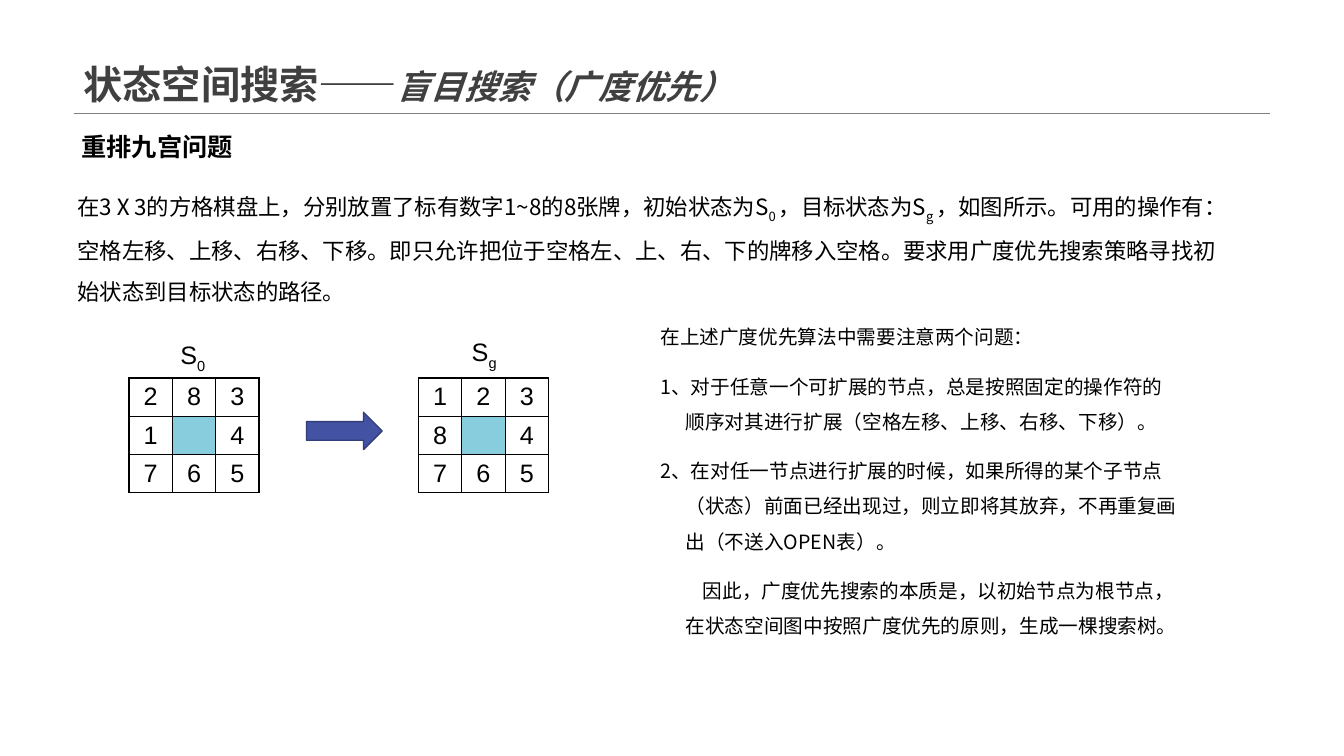
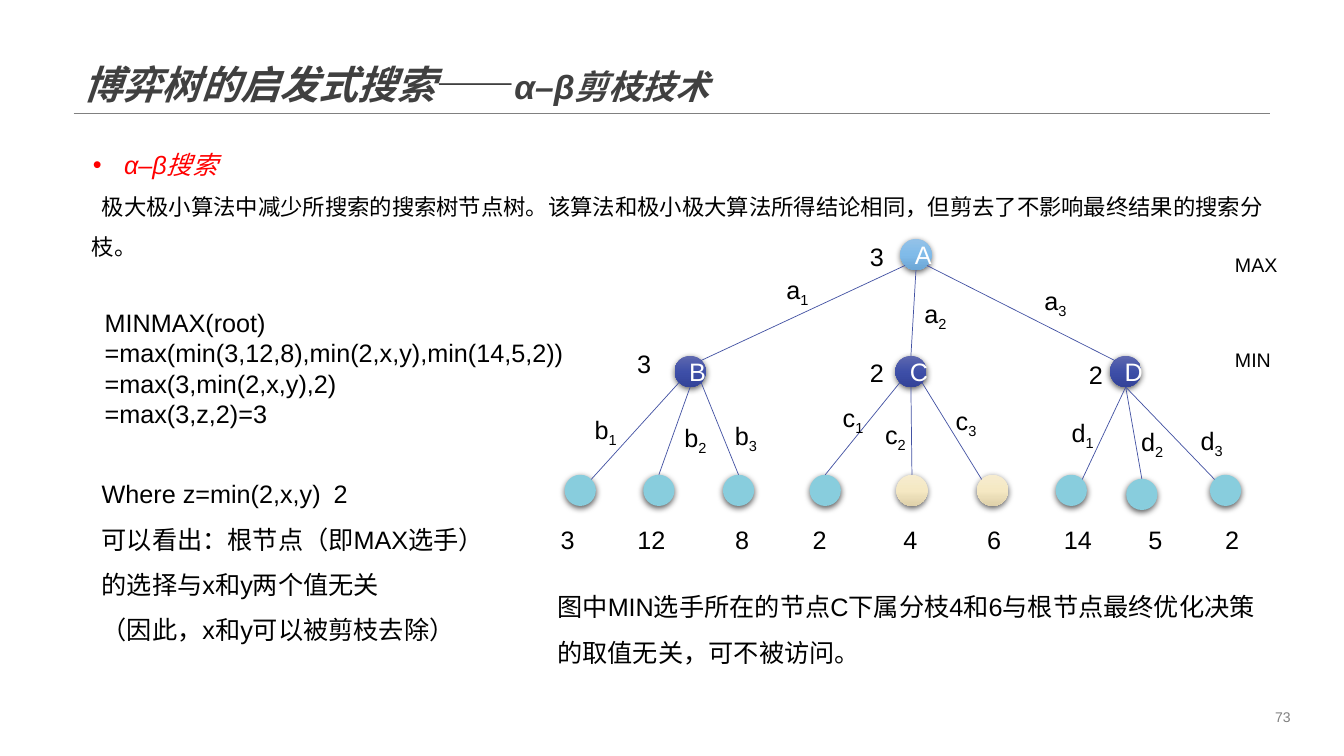
"""Build two slides on state space search and alpha-beta pruning."""
from copy import deepcopy
from dataclasses import dataclass

from lxml.etree import SubElement as Sub
from pptx import Presentation
from pptx.dml.color import RGBColor as Rgb
from pptx.enum.shapes import MSO_CONNECTOR as Link, MSO_SHAPE as Kind
from pptx.enum.text import MSO_ANCHOR as Anchor, MSO_AUTO_SIZE as Fit, PP_ALIGN as Align
from pptx.oxml.ns import qn
from pptx.util import Inches, Pt


@dataclass(frozen=True)
class Theme:
    ink: str = "000000"
    title: str = "404040"
    gray: str = "808080"
    red: str = "FF0000"
    white: str = "FFFFFF"
    aqua: str = "88CDDD"
    blue: str = "4352A3"
    navy: str = "323D79"
    sky: tuple = ("94C2E8", "80BBE9", "6CA6D5")
    deep: tuple = ("5F69AF", "3E4FA8", "334399")
    sand: tuple = ("F6ECCF", "F5E8C3", "DED0A9")
    sans: str = "Arial"
    serif: str = "Times New Roman"
    han: str = "Noto Sans CJK SC"
    big: int = 28
    head: int = 24
    body: int = 18
    text: int = 16
    small: int = 14
    foot: int = 10


T = Theme()

HEAD1 = [("状态空间搜索——", T.big, False), ("盲目搜索（广度优先）", T.head, True)]
HEAD2 = [("博弈树的启发式搜索", T.big, True), ("——", T.big, False),
         ("α–β剪枝技术", T.head, True)]

TASK = ("在3Ⅹ3的方格棋盘上，分别放置了标有数字1~8的8张牌，初始状态为S|0 |，目标状态为S|g |"
        "，如图所示。可用的操作有：空格左移、上移、右移、下移。即只允许把位于空格左、上、右、下的牌移入空格。"
        "要求用广度优先搜索策略寻找初始状态到目标状态的路径。")
NOTES = [
    ("在上述广度优先算法中需要注意两个问题：", -0.25),
    ("1、对于任意一个可扩展的节点，总是按照固定的操作符的顺序对其进行扩展（空格左移、上移、右移、下移）。", -0.25),
    ("2、在对任一节点进行扩展的时候，如果所得的某个子节点（状态）前面已经出现过，则立即将其放弃，"
     "不再重复画出（不送入OPEN表）。", -0.25),
    ("因此，广度优先搜索的本质是，以初始节点为根节点，在状态空间图中按照广度优先的原则，生成一棵搜索树。", 0.17),
]
BOARDS = [
    (1.28, "S|0", (1.69, 3.32), ["283", "1 4", "765"]),
    (4.15, "S|g", (4.58, 3.29), ["123", "8 4", "765"]),
]

TOPIC = "α–β搜索"
INTRO = "极大极小算法中减少所搜索的搜索树节点树。该算法和极小极大算法所得结论相同，但剪去了不影响最终结果的搜索分枝。"
STEPS = ["MINMAX(root)", "=max(min(3,12,8),min(2,x,y),min(14,5,2))",
         "=max(3,min(2,x,y),2)", "=max(3,z,2)=3"]
WHERE = ["Where z=min(2,x,y)\t2", "可以看出：根节点（即MAX选手）的选择与x和y两个值无关",
         "（因此，x和y可以被剪枝去除）"]
PRUNE = ["图中MIN选手所在的节点C下属分枝4和6与根节点最终优化决策的取值无关，可不被访问。"]
LEVELS = [("MAX", 2.46), ("MIN", 3.4)]

DOT = 0.31
SITES = {"top": (0.5, 0), "low": (0.5, 1), "nw": (0.15, 0.15),
         "ne": (0.85, 0.15), "sw": (0.15, 0.85), "se": (0.85, 0.85)}
NODES = {"A": (8.93, 2.37, T.sky), "B": (6.69, 3.53, T.deep),
         "C": (8.88, 3.53, T.deep), "D": (11.01, 3.53, T.deep)}
LEAVES = {
    "b1": (5.6, 4.71, T.aqua, "3", 5.63), "b2": (6.38, 4.71, T.aqua, "12", 6.46),
    "b3": (7.17, 4.71, T.aqua, "8", 7.36), "c1": (8.03, 4.71, T.aqua, "2", 8.13),
    "c2": (8.89, 4.71, T.sand, "4", 9.03), "c3": (9.69, 4.71, T.sand, "6", 9.86),
    "d1": (10.47, 4.71, T.aqua, "14", 10.69), "d2": (11.17, 4.75, T.aqua, "5", 11.46),
    "d3": (12, 4.71, T.aqua, "2", 12.22),
}
EDGES = [
    ("A", "sw", "B", "ne"), ("A", "low", "C", "top"), ("A", "se", "D", "nw"),
    ("B", "sw", "b1", "ne"), ("B", "low", "b2", "top"), ("B", "se", "b3", "top"),
    ("C", "sw", "c1", "top"), ("C", "low", "c2", "top"), ("C", "se", "c3", "nw"),
    ("D", "low", "d1", "ne"), ("D", "low", "d2", "top"), ("D", "low", "d3", "nw"),
]
MARKS = [
    ("3", 8.53, 2.34), ("3", 6.22, 3.41), ("2", 8.53, 3.5), ("2", 10.7, 3.52),
    ("a|1", 7.7, 2.67), ("a|2", 9.07, 2.91), ("a|3", 10.26, 2.78),
    ("b|1", 5.8, 4.06), ("b|2", 6.69, 4.14), ("b|3", 7.19, 4.12),
    ("c|1", 8.26, 3.94), ("c|2", 8.68, 4.11), ("c|3", 9.38, 3.97),
    ("d|1", 10.53, 4.09), ("d|2", 11.22, 4.18), ("d|3", 11.81, 4.17),
]


def rgb(code):
    return Rgb.from_string(code)


def add(par, text, size=T.body, color=T.ink, face=T.sans, bold=False, slant=False):
    """Add runs; every second part between bars is a subscript."""
    for i, part in enumerate(text.split("|")):
        if not part:
            continue
        run = par.add_run()
        run.text = part
        font = run.font
        font.size, font.bold, font.italic = Pt(size), bold, slant
        font.color.rgb, font.name = rgb(color), face
        props = run._r.get_or_add_rPr()
        east = deepcopy(props.find(qn("a:latin")))
        east.tag = qn("a:ea")
        east.set("typeface", T.han)
        props.find(qn("a:latin")).addnext(east)
        if i % 2:
            props.set("baseline", "-25000")


def indent(par, left, first, bullet=None):
    props = par._p.get_or_add_pPr()
    props.set("marL", str(Inches(left)))
    props.set("indent", str(Inches(first)))
    if bullet:
        Sub(props, qn("a:buFont")).set("typeface", T.sans)
        Sub(props, qn("a:buChar")).set("char", bullet)
    else:
        Sub(props, qn("a:buNone"))


def tab(par, pos):
    stop = Sub(Sub(par._p.get_or_add_pPr(), qn("a:tabLst")), qn("a:tab"))
    stop.set("pos", str(Inches(pos)))
    stop.set("algn", "l")


def place(shape, *area):
    shape.left, shape.top, shape.width, shape.height = map(Inches, area)
    frame = shape.text_frame
    frame.word_wrap, frame.auto_size = True, Fit.NONE
    return frame


def box(slide, area, lines, space=None, align=Align.LEFT, **style):
    shape = slide.shapes.add_textbox(*map(Inches, area))
    frame = place(shape, *area)
    for i, line in enumerate(lines):
        par = frame.add_paragraph() if i else frame.paragraphs[0]
        par.alignment = align
        if space:
            par.line_spacing = space
        if "\t" in line:
            tab(par, 2.3)
        add(par, line, **style)
    return frame


def draw(slide, start, end, color, width):
    line = slide.shapes.add_connector(Link.STRAIGHT, *map(Inches, start + end))
    line.line.color.rgb, line.line.width = rgb(color), Pt(width)
    Sub(line._element.spPr, qn("a:effectLst"))
    return line


def page(deck, head):
    slide = deck.slides.add_slide(deck.slide_layouts[1])
    frame = place(slide.shapes.title, 0.73, 0, 11.87, 1.12)
    frame.vertical_anchor = Anchor.BOTTOM
    par = frame.paragraphs[0]
    par.alignment, par.line_spacing = Align.LEFT, 0.9
    for text, size, slant in head:
        add(par, text, size, T.title, bold=True, slant=slant)
    return slide


def board(slide, left, rows):
    size = len(rows)
    grid = slide.shapes.add_table(size, size, Inches(left), Inches(3.75),
                                  Inches(1.29), Inches(1.15)).table
    grid.first_row = grid.horz_banding = False
    for r, row in enumerate(rows):
        grid.rows[r].height = Inches(0.38)
        for c, digit in enumerate(row):
            cell = grid.cell(r, c)
            cell.margin_top = cell.margin_bottom = Inches(0.03)
            cell.vertical_anchor = Anchor.MIDDLE
            props = cell._tc.get_or_add_tcPr()
            for side in ("lnL", "lnR", "lnT", "lnB"):
                edge = Sub(props, qn("a:" + side), w=str(Pt(1)))
                Sub(Sub(edge, qn("a:solidFill")), qn("a:srgbClr"), val=T.ink)
            if digit == " ":
                cell.fill.solid()
                cell.fill.fore_color.rgb = rgb(T.aqua)
            else:
                cell.fill.background()
                par = cell.text_frame.paragraphs[0]
                par.alignment = Align.CENTER
                add(par, digit)


def dot(slide, x, y, tone):
    shape = slide.shapes.add_shape(Kind.OVAL, *map(Inches, (x, y, DOT, DOT)))
    shape.line.fill.background()
    fill, props = shape.fill, shape._element.spPr
    if isinstance(tone, tuple):
        fill.gradient()
        fill.gradient_angle = 270
        stops = props.find(qn("a:gradFill")).find(qn("a:gsLst"))
        stops.insert(1, deepcopy(stops[0]))
        for i, stop in enumerate(fill.gradient_stops):
            stop.color.rgb, stop.position = rgb(tone[i]), i / 2
    else:
        fill.solid()
        fill.fore_color.rgb = rgb(tone)
    shape.shadow.inherit = False
    shade = Sub(props.find(qn("a:effectLst")), qn("a:outerShdw"), blurRad=str(Pt(4.5)),
                dist=str(Pt(1.5)), dir="5400000", rotWithShape="0")
    Sub(Sub(shade, qn("a:srgbClr"), val=T.ink), qn("a:alpha"), val="63000")
    return shape


def puzzle(deck):
    slide = page(deck, HEAD1)
    rule = draw(slide, (0.73, 1.12), (12.6, 1.12), T.gray, 0.25)
    slide.slide_layout.shapes.element.append(rule._element)
    frame = place(slide.placeholders[1], 6.45, 3.06, 5.37, 2.58)
    for i, (text, first) in enumerate(NOTES):
        par = frame.add_paragraph() if i else frame.paragraphs[0]
        indent(par, 0.25, first)
        par.line_spacing, par.space_before = 1.5, Pt(10 if i else 0)
        add(par, text, T.small, face=T.han)
    for left, name, spot, rows in BOARDS:
        board(slide, left, rows)
        box(slide, spot + (0.55, 0.4), [name])
    arrow = slide.shapes.add_shape(Kind.RIGHT_ARROW, *map(Inches, (3.04, 4.09, 0.75, 0.37)))
    arrow.shadow.inherit = False
    arrow.fill.solid()
    arrow.fill.fore_color.rgb = rgb(T.blue)
    arrow.line.color.rgb, arrow.line.width = rgb(T.navy), Pt(1)
    box(slide, (0.71, 1.25, 2.2, 0.4), ["重排九宫问题"], face=T.serif, bold=True)
    box(slide, (0.67, 1.72, 11.56, 1.26), [TASK], 1.5, size=T.text, face=T.han)


def tree(slide):
    spots = {**NODES, **LEAVES}
    dots = {name: dot(slide, *spot[:3]) for name, spot in spots.items()}
    for name in NODES:
        par = dots[name].text_frame.paragraphs[0]
        par.alignment = Align.CENTER
        add(par, name, color=T.white)
    for top, out, leaf, port in EDGES:
        ends = [tuple(p + DOT * k for p, k in zip(spots[name][:2], SITES[site]))
                for name, site in ((top, out), (leaf, port))]
        line = draw(slide, *ends, T.blue, 0.5)
        if port == "top":
            line.end_connect(dots[leaf], 0)
    for *_, value, mid in LEAVES.values():
        box(slide, (mid - 0.3, 5.15, 0.6, 0.4), [value], align=Align.CENTER)
    for text, x, y in MARKS:
        box(slide, (x, y, 0.55, 0.4), [text])
    for text, y in LEVELS:
        box(slide, (12.15, y, 0.74, 0.34), [text], size=T.small)


def prune(deck):
    slide = page(deck, HEAD2)
    frame = place(slide.placeholders[1], 0.54, 1.28, 12.23, 1.38)
    topic, intro = frame.paragraphs[0], frame.add_paragraph()
    indent(topic, 0.59, -0.31, "•")
    indent(intro, 0.27, 0.1)
    for par in (topic, intro):
        par.line_spacing, par.space_before = 1.5, Pt(0)
    add(topic, TOPIC, color=T.red, slant=True)
    add(intro, INTRO, T.text, face=T.serif)
    tree(slide)
    box(slide, (0.94, 3, 5.43, 1.31), STEPS)
    box(slide, (0.91, 4.55, 4.02, 1.86), WHERE, 1.5)
    box(slide, (5.43, 5.67, 7.17, 0.96), PRUNE, 1.5)
    foot = box(slide, (9.72, 7, 3.18, 0.23), ["73"], align=Align.RIGHT,
               size=T.foot, color=T.gray)
    foot.vertical_anchor = Anchor.MIDDLE


def main():
    deck = Presentation()
    deck.slide_width, deck.slide_height = Inches(13.33), Inches(7.5)
    puzzle(deck)
    prune(deck)
    deck.save("out.pptx")


if __name__ == "__main__":
    main()
